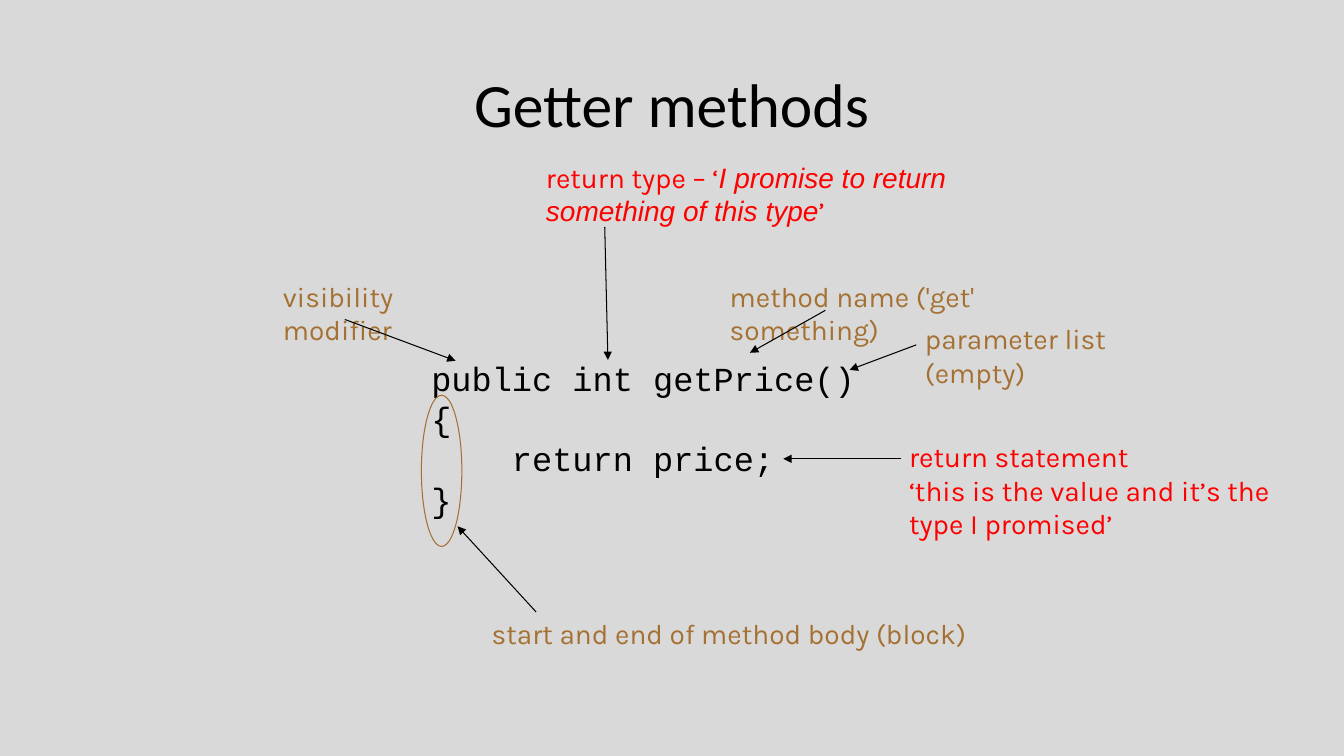
from lxml import etree
from pptx import Presentation, util as u
from pptx.dml.color import RGBColor
from pptx.enum import shapes, text
from pptx.oxml import ns

BLACK = RGBColor(0x00, 0x00, 0x00)
RED = RGBColor(0xFF, 0x00, 0x00)
BROWN = RGBColor(0xA5, 0x71, 0x33)
GREY = RGBColor(0xD9, 0xD9, 0xD9)

CODE = ["public int getPrice()", "{", "    return price;", "}"]

NOTES = [
    ((18.14, 6.91, 10.36, 1.12), BROWN, ["method name ('get' something)"]),
    ((23.06, 7.98, 5.74, 1.96), BROWN, ["parameter list (empty)"]),
    ((12.14, 15.42, 12.65, 1.09), BROWN, ["start and end of method body (block)"]),
    ((6.88, 6.91, 6.1, 1.12), BROWN, ["visibility modifier"]),
    ((22.66, 10.95, 9.88, 3.68), RED,
     ["return statement", "‘this is the value and it’s the", "type I promised’"]),
]

ARROWS = [
    (13.51, 15.42, 11.53, 13.26),
    (15.24, 5.72, 15.32, 9.07),
    (20.8, 7.82, 18.9, 8.89),
    (23.09, 8.69, 21.41, 9.32),
    (22.71, 11.56, 19.74, 11.56),
    (8.69, 8.05, 11.48, 9.09),
]


def lengths(values):
    return [u.Cm(value) for value in values]


def style(font, name, size, color):
    font.name = name
    font.size = u.Pt(size)
    font.color.rgb = color


def add_title(slide, box, words):
    title = slide.shapes.title
    title.left, title.top, title.width, title.height = lengths(box)
    title.text_frame.text = words
    title.text_frame.vertical_anchor = text.MSO_ANCHOR.MIDDLE
    paragraph = title.text_frame.paragraphs[0]
    paragraph.alignment = text.PP_ALIGN.CENTER
    style(paragraph.font, "Calibri", 44, BLACK)


def add_frame(slide, box):
    frame = slide.shapes.add_textbox(*lengths(box)).text_frame
    frame.word_wrap = True
    frame.auto_size = text.MSO_AUTO_SIZE.SHAPE_TO_FIT_TEXT
    return frame


def add_text(slide, box, lines, name, size, color):
    frame = add_frame(slide, box)
    frame.text = "\n".join(lines)
    for paragraph in frame.paragraphs:
        style(paragraph.font, name, size, color)


def add_promise(slide, box):
    paragraph = add_frame(slide, box).paragraphs[0]
    for words, name, italic in [
        ("return type – ‘", "Karla", False),
        ("I promise to return something of this type", "Arial", True),
        ("’", "Karla", False),
    ]:
        run = paragraph.add_run()
        run.text = words
        style(run.font, name, 20, RED)
        run.font.italic = italic


def add_ring(slide, box):
    ring = slide.shapes.add_shape(shapes.MSO_SHAPE.OVAL, *lengths(box))
    ring.shadow.inherit = False
    ring.fill.background()
    ring.line.color.rgb = BROWN
    ring.line.width = u.Pt(0.75)


def add_arrow(slide, ends):
    arrow = slide.shapes.add_connector(shapes.MSO_CONNECTOR.STRAIGHT, *lengths(ends))
    arrow.line.color.rgb = BLACK
    arrow.line.width = u.Pt(0.75)
    properties = arrow.element.spPr
    etree.SubElement(properties.find(ns.qn("a:ln")), ns.qn("a:tailEnd"), type="triangle")
    etree.SubElement(properties, ns.qn("a:effectLst"))


def main():
    presentation = Presentation()
    presentation.slide_width = u.Cm(33.87)
    presentation.slide_height = u.Cm(19.05)
    slide = presentation.slides.add_slide(presentation.slide_layouts[5])
    slide.background.fill.solid()
    slide.background.fill.fore_color.rgb = GREY

    add_title(slide, (2.54, 0.99, 28.78, 3.18), "Getter methods")
    add_text(slide, (10.62, 8.89, 11.28, 4.37), CODE, "Courier New", 24, BLACK)
    add_promise(slide, (13.51, 3.91, 10.82, 1.96))
    for box, color, lines in NOTES:
        add_text(slide, box, lines, "Karla", 20, color)
    add_ring(slide, (10.62, 9.96, 1.02, 3.81))
    for ends in ARROWS:
        add_arrow(slide, ends)

    presentation.save("out.pptx")


if __name__ == "__main__":
    main()
